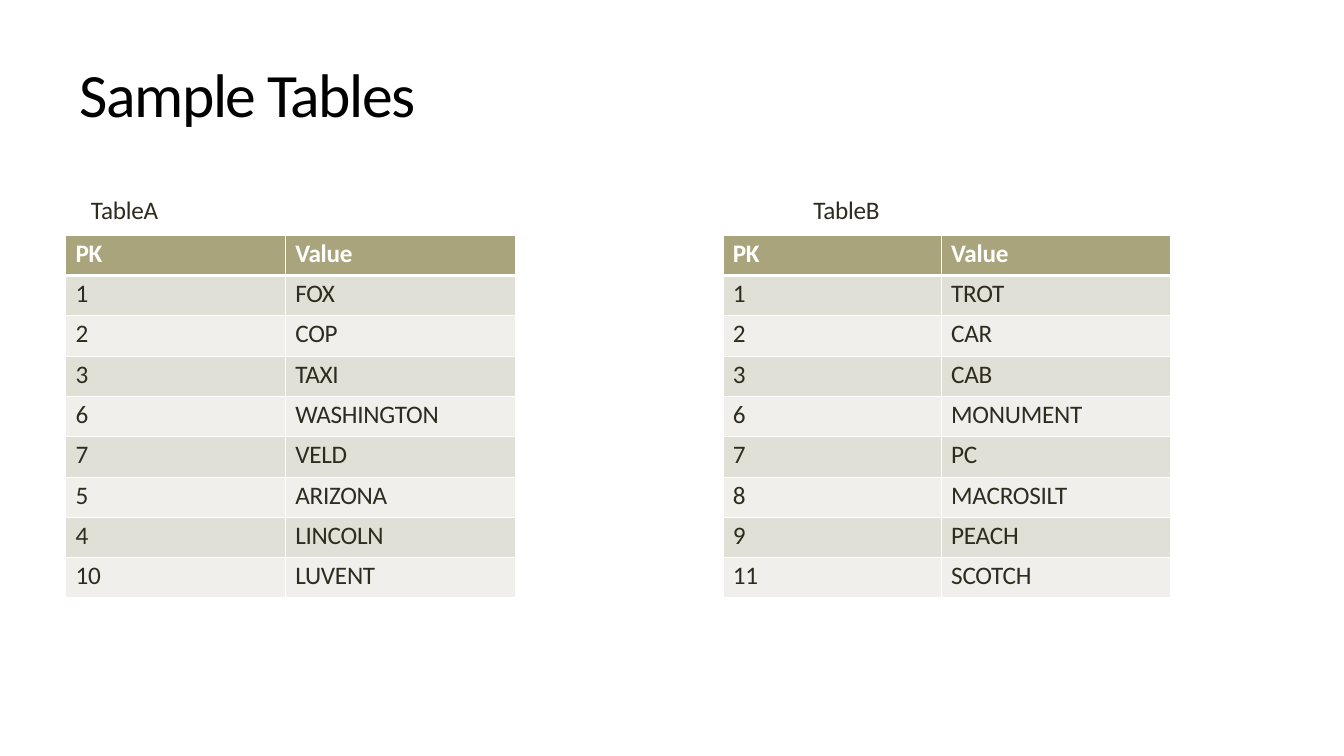
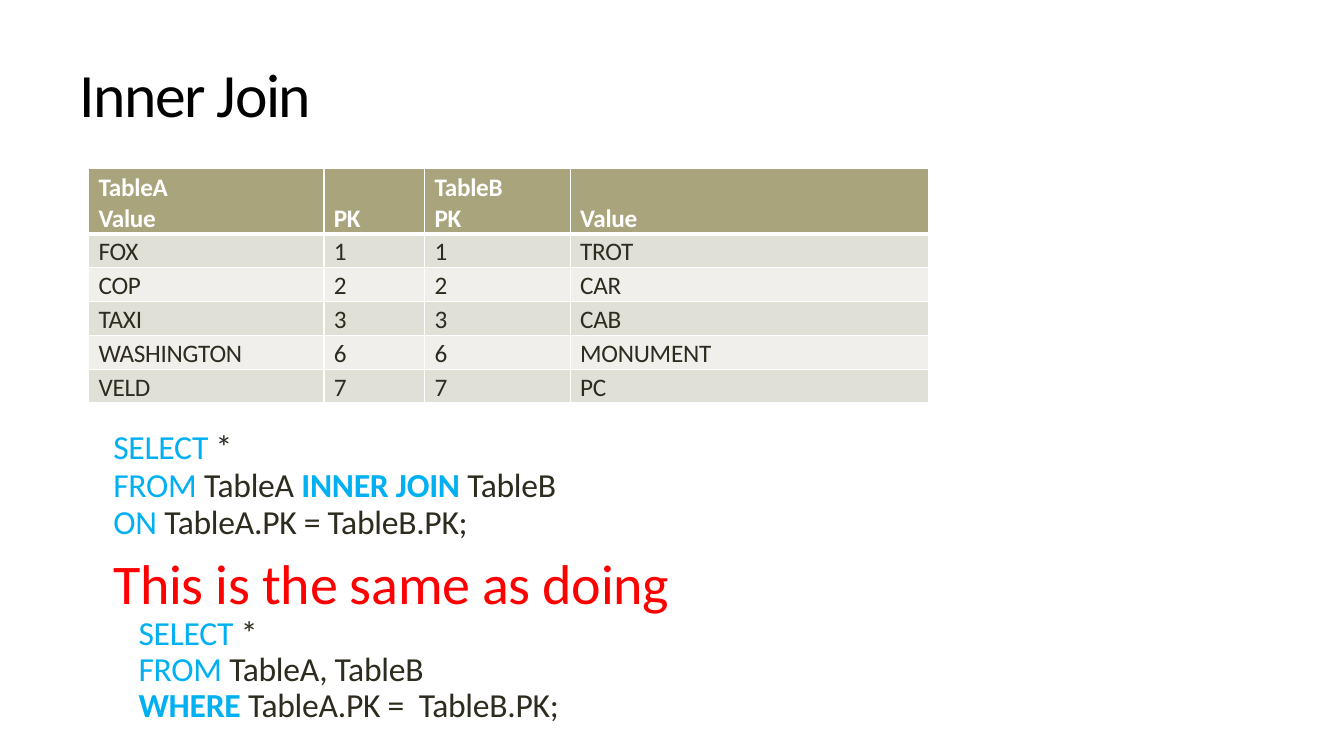
from lxml.etree import SubElement
from pptx import Presentation
from pptx.dml.color import RGBColor
from pptx.enum.text import MSO_ANCHOR, MSO_AUTO_SIZE, PP_ALIGN
from pptx.oxml.ns import qn
from pptx.util import Pt

COLORS = {
    "title": "000000", "text": "2E2B1F", "keyword": "00B0F0", "alert": "FF0000",
    "white": "FFFFFF", "header": "A9A47B", "odd": "E1E0D6", "even": "F0EFEB",
}
FONT = "Calibri"
TITLE_ONLY = 5

# Sample data: key and value of each row
TABLE_A = [("1", "FOX"), ("2", "COP"), ("3", "TAXI"), ("6", "WASHINGTON"), ("7", "VELD"),
           ("5", "ARIZONA"), ("4", "LINCOLN"), ("10", "LUVENT")]
TABLE_B = [("1", "TROT"), ("2", "CAR"), ("3", "CAB"), ("6", "MONUMENT"), ("7", "PC"),
           ("8", "MACROSILT"), ("9", "PEACH"), ("11", "SCOTCH")]


def set_values(target, values):
    for name, value in values.items():
        setattr(target, name, value)


class Deck:
    """Holds the style and the current slide."""

    def __init__(self):
        self.presentation = Presentation()
        set_values(self.presentation, {"slide_width": Pt(960), "slide_height": Pt(540)})
        self.slide = None

    def add_slide(self, title, title_width):
        layout = self.presentation.slide_layouts[TITLE_ONLY]
        self.slide = self.presentation.slides.add_slide(layout)
        shape = self.slide.shapes.title
        set_values(shape, {"left": Pt(56), "top": Pt(38),
                           "width": Pt(title_width), "height": Pt(55)})
        self.format_frame(shape.text_frame, MSO_ANCHOR.MIDDLE)
        paragraph = shape.text_frame.paragraphs[0]
        paragraph.alignment = PP_ALIGN.LEFT
        self.add_run(paragraph, title, 44, "title", spacing=-1.1)

    def format_frame(self, frame, anchor=MSO_ANCHOR.TOP):
        set_values(frame, {
            "word_wrap": True, "auto_size": MSO_AUTO_SIZE.NONE, "vertical_anchor": anchor,
            "margin_left": Pt(1), "margin_top": Pt(1), "margin_right": 0, "margin_bottom": 0,
        })

    def add_run(self, paragraph, text, size, color, bold=False, spacing=-0.2):
        run = paragraph.add_run()
        run.text = text
        set_values(run.font, {"name": FONT, "size": Pt(size), "bold": bold})
        run.font.color.rgb = RGBColor.from_string(COLORS[color])
        run._r.get_or_add_rPr().set("spc", str(round(spacing * 100)))

    def add_text(self, left, top, width, height, lines):
        """Each line is a list of run arguments, an indent and a dict of paragraph values."""
        box = self.slide.shapes.add_textbox(Pt(left), Pt(top), Pt(width), Pt(height))
        frame = box.text_frame
        self.format_frame(frame)
        for index, (runs, indent, values) in enumerate(lines):
            paragraph = frame.add_paragraph() if index else frame.paragraphs[0]
            paragraph._p.get_or_add_pPr().set("marL", str(Pt(indent)))
            set_values(paragraph, values)
            for run in runs:
                self.add_run(paragraph, *run)

    def add_label(self, text, left):
        self.add_text(left, 137.5, 68, 24, [([(text, 18, "text")], 0, {})])

    def add_table(self, left, top, widths, row_height, rows, header_height=None):
        heights = [header_height or row_height] + [row_height] * (len(rows) - 1)
        table = self.slide.shapes.add_table(
            len(rows), len(widths), Pt(left), Pt(top), Pt(sum(widths)), Pt(sum(heights))).table
        for column, width in zip(table.columns, widths):
            column.width = Pt(width)
        header_anchor = MSO_ANCHOR.BOTTOM if header_height else MSO_ANCHOR.TOP
        for index, (row, height, texts) in enumerate(zip(table.rows, heights, rows)):
            row.height = Pt(height)
            for cell, text in zip(row.cells, texts):
                cell.vertical_anchor = MSO_ANCHOR.TOP if index else header_anchor
                self.format_cell(cell, text, index)

    def format_cell(self, cell, text, row_index):
        is_header = row_index == 0
        set_values(cell, {"margin_left": Pt(7), "margin_top": Pt(2.2),
                          "margin_right": 0, "margin_bottom": 0})
        # Borders come before the fill; the rule under the header is thicker
        borders = {"lnL": 1, "lnR": 1, "lnT": 3 if row_index == 1 else 1,
                   "lnB": 3 if is_header else 1}
        properties = cell._tc.get_or_add_tcPr()
        for edge, width in borders.items():
            line = SubElement(properties, qn(f"a:{edge}"), w=str(Pt(width)))
            fill = SubElement(line, qn("a:solidFill"))
            SubElement(fill, qn("a:srgbClr"), val=COLORS["white"])
        cell.fill.solid()
        fill_name = "header" if is_header else ("even", "odd")[row_index % 2]
        cell.fill.fore_color.rgb = RGBColor.from_string(COLORS[fill_name])
        frame = cell.text_frame
        for index, line_text in enumerate(text.split("\n")):
            paragraph = frame.add_paragraph() if index else frame.paragraphs[0]
            self.add_run(paragraph, line_text, 18, "white" if is_header else "text", is_header)


def add_sample_tables(deck):
    deck.add_slide("Sample Tables", 361)
    header = [("PK", "Value")]
    deck.add_label("TableA", 64)
    deck.add_table(47, 168, [157, 164], 28.8, header + TABLE_A)
    deck.add_label("TableB", 580)
    deck.add_table(516.5, 168, [156, 164], 28.8, header + TABLE_B)


def add_inner_join(deck):
    deck.add_slide("Inner Join", 251)

    # Rows whose key is in both tables
    values_b = dict(TABLE_B)
    joined = [(value, key, key, values_b[key]) for key, value in TABLE_A if key in values_b]
    header = [("TableA\nValue", "PK", "TableB\nPK", "Value")]
    deck.add_table(63.5, 120, [168, 72, 104, 256], 24, header + joined, header_height=47)

    # The two equivalent queries
    def keyword(text, bold=False):
        return text, 24, "keyword", bold

    def plain(text):
        return text, 24, "text"

    first = {"line_spacing": Pt(25.9), "space_before": Pt(1)}
    remark = {"line_spacing": Pt(25.9), "space_before": Pt(26.9)}
    second = {"line_spacing": 0.8, "space_before": Pt(2.9)}
    deck.add_text(80, 306, 689, 214, [
        ([keyword("SELECT "), plain("*")], 0, first),
        ([keyword("FROM "), plain("TableA "), keyword("INNER JOIN ", True), plain("TableB")],
         0, first),
        ([keyword("ON "), plain("TableA.PK = TableB.PK;")], 0, first),
        ([("This is the same as doing", 40, "alert")], 0, remark),
        ([keyword("SELECT "), plain("*")], 18, second),
        ([keyword("FROM "), plain("TableA, TableB")], 18, second),
        ([keyword("WHERE ", True), plain("TableA.PK =  TableB.PK;")], 18, second),
    ])


def main():
    deck = Deck()
    add_sample_tables(deck)
    add_inner_join(deck)
    deck.presentation.save("out.pptx")


if __name__ == "__main__":
    main()
